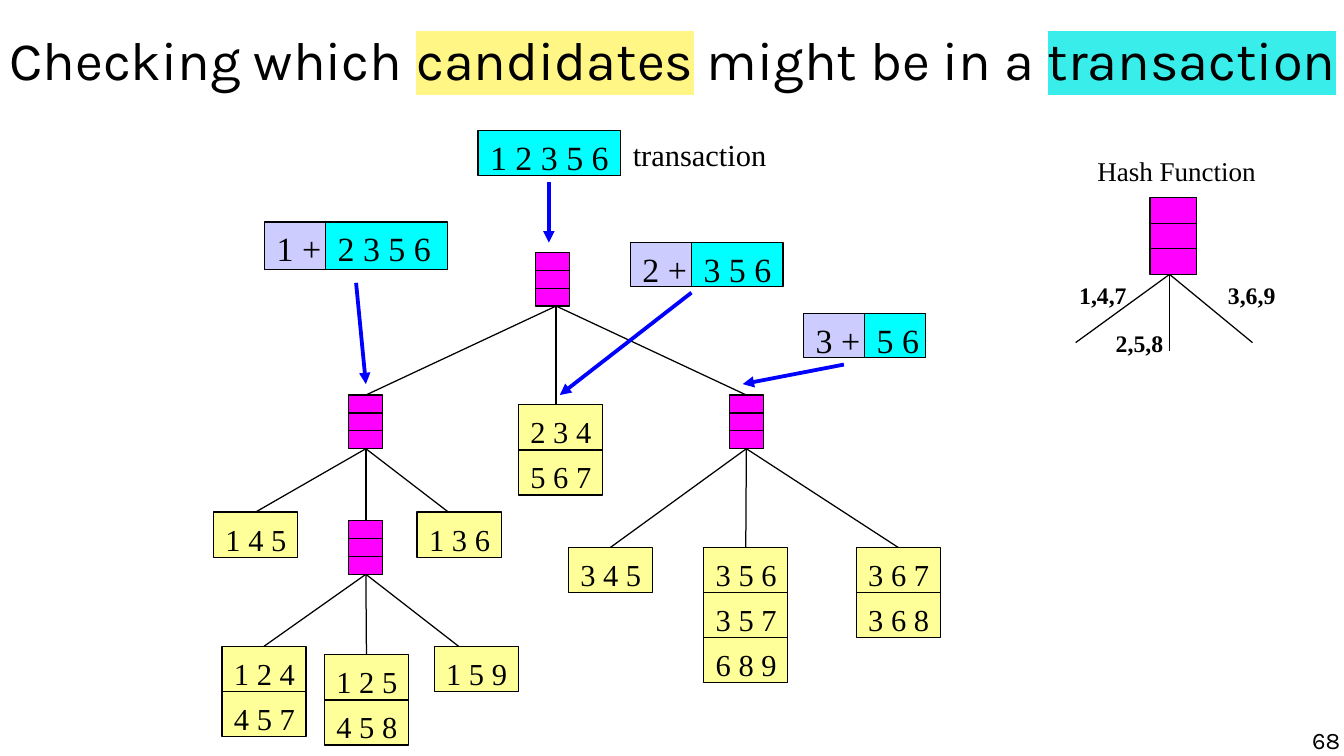
"""Build the slide that walks a transaction through a candidate hash tree."""
from dataclasses import dataclass

from lxml import etree
from pptx import Presentation
from pptx.dml.color import RGBColor
from pptx.enum.shapes import MSO_CONNECTOR, MSO_SHAPE
from pptx.enum.text import MSO_ANCHOR, PP_ALIGN
from pptx.oxml.ns import qn
from pptx.shapes.autoshape import Shape
from pptx.shapes.connector import Connector
from pptx.slide import Slide
from pptx.text.text import TextFrame
from pptx.util import Inches, Pt

STRAIGHT = MSO_CONNECTOR.STRAIGHT
RECTANGLE = MSO_SHAPE.RECTANGLE
TOP, MIDDLE = MSO_ANCHOR.TOP, MSO_ANCHOR.MIDDLE
LEFT, CENTER, RIGHT = PP_ALIGN.LEFT, PP_ALIGN.CENTER, PP_ALIGN.RIGHT
TOP_SITE, BOTTOM_SITE = 0, 2
JOIN_REACH = Inches(0.02)
LEAF_WIDTH, LEAF_HEIGHT = 0.69, 0.37

Point = tuple[float, float]
Area = tuple[float, float, float, float]


@dataclass(frozen=True)
class Theme:
    ink: str = "000000"
    arrow: str = "0000FF"
    node: str = "FF00FF"
    leaf: str = "FFFF99"
    prefix: str = "CCCCFF"
    items: str = "00FFFF"
    candidate_mark: str = "FFF685"
    transaction_mark: str = "39EDEA"
    heading_font: str = "Karla"
    body_font: str = "Times New Roman"
    title_size: int = 32
    items_size: int = 20
    leaf_size: int = 18
    caption_size: int = 16
    small_size: int = 14
    thin: float = 0.75
    thick: float = 2.25


THEME = Theme()


@dataclass(frozen=True)
class Span:
    text: str
    size: int
    font: str = THEME.body_font
    bold: bool = False
    mark: str = ""


@dataclass(frozen=True)
class Fan:
    apex: Point
    ends: tuple[Point, ...]


@dataclass(frozen=True)
class Leaf:
    left: float
    top: float
    itemsets: tuple[str, ...]


@dataclass(frozen=True)
class ItemBox:
    area: Area
    text: str
    fill: str


@dataclass(frozen=True)
class Label:
    area: Area
    span: Span


FANS = (
    Fan((4.56, 2.51), ((3, 3.25), (4.56, 3.32), (6.12, 3.25))),
    Fan((2.99, 3.68), ((2.1, 4.21), (2.99, 4.27), (3.69, 4.21))),
    Fan((6.12, 3.68), ((5.01, 4.49), (6.12, 4.49), (7.37, 4.49))),
    Fan((3, 4.71), ((2.17, 5.3), (3, 5.37), (3.76, 5.3))),
    Fan((9.59, 2.25), ((8.82, 2.81), (9.59, 2.88), (10.27, 2.81))),
)
NODES: tuple[Area, ...] = (
    (4.39, 2.07, 0.28, 0.44),
    (2.86, 3.24, 0.28, 0.44),
    (5.98, 3.24, 0.28, 0.44),
    (2.86, 4.27, 0.28, 0.44),
    (9.43, 1.62, 0.38, 0.63),
)
LEAVES = (
    Leaf(4.25, 3.32, ("2 3 4", "5 6 7")),
    Leaf(1.75, 4.2, ("1 4 5",)),
    Leaf(3.42, 4.2, ("1 3 6",)),
    Leaf(4.66, 4.49, ("3 4 5",)),
    Leaf(5.77, 4.49, ("3 5 6", "3 5 7", "6 8 9")),
    Leaf(7.02, 4.49, ("3 6 7", "3 6 8")),
    Leaf(1.82, 5.3, ("1 2 4", "4 5 7")),
    Leaf(2.66, 5.37, ("1 2 5", "4 5 8")),
    Leaf(3.56, 5.3, ("1 5 9",)),
)
ITEM_BOXES = (
    ItemBox((3.92, 1.07, 1.17, 0.37), "1 2 3 5 6", THEME.items),
    ItemBox((2.17, 1.82, 0.75, 0.39), "1 +", THEME.prefix),
    ItemBox((2.67, 1.82, 1, 0.39), "2 3 5 6", THEME.items),
    ItemBox((5.17, 1.99, 0.5, 0.36), "2 +", THEME.prefix),
    ItemBox((5.67, 1.99, 0.75, 0.36), "3 5 6", THEME.items),
    ItemBox((6.59, 2.57, 0.5, 0.36), "3 +", THEME.prefix),
    ItemBox((7.09, 2.57, 0.5, 0.36), "5 6", THEME.items),
)
ARROWS: tuple[tuple[Point, Point], ...] = (
    ((4.5, 1.49), (4.5, 1.99)),
    ((2.92, 2.32), (3, 3.15)),
    ((5.67, 2.4), (4.59, 3.24)),
    ((6.92, 2.99), (6.09, 3.15)),
)
LABELS = (
    Label((5.09, 1.07, 1.29, 0.4), Span("transaction", THEME.leaf_size)),
    Label((8.9, 1.22, 1.5, 0.37), Span("Hash Function", THEME.caption_size)),
    Label((8.75, 2.25, 0.59, 0.33), Span("1,4,7", THEME.small_size, bold=True)),
    Label((9.05, 2.65, 0.59, 0.33), Span("2,5,8", THEME.small_size, bold=True)),
    Label((9.97, 2.25, 0.59, 0.33), Span("3,6,9", THEME.small_size, bold=True)),
)
TITLE = tuple(Span(text, THEME.title_size, THEME.heading_font, mark=mark) for text, mark in (
    ("Checking which ", ""), ("candidates", THEME.candidate_mark),
    (" might be in a ", ""), ("transaction", THEME.transaction_mark)))
PAGE_NUMBER = Span("68", THEME.small_size, THEME.heading_font)


def write(frame: TextFrame, spans: tuple[Span, ...], insets: Area, align: PP_ALIGN = LEFT,
          anchor: MSO_ANCHOR = TOP, wrap: bool = True) -> None:
    frame.margin_left, frame.margin_top, frame.margin_right, frame.margin_bottom = map(Inches, insets)
    frame.word_wrap, frame.vertical_anchor = wrap, anchor
    para = frame.paragraphs[0]
    para.alignment = align
    for span in spans:
        run = para.add_run()
        run.text = span.text
        run.font.size, run.font.name, run.font.bold = Pt(span.size), span.font, span.bold
        run.font.color.rgb = RGBColor.from_string(THEME.ink)
        if span.mark:
            highlight = etree.Element(qn("a:highlight"))
            etree.SubElement(highlight, qn("a:srgbClr"), val=span.mark)
            run.font._element.find(qn("a:solidFill")).addnext(highlight)


def draw_line(page: Slide, begin: Point, end: Point, color: str = THEME.ink,
              width: float = THEME.thin, arrow: bool = False) -> Connector:
    line = page.shapes.add_connector(STRAIGHT, *map(Inches, begin + end))
    line.line.color.rgb = RGBColor.from_string(color)
    line.line.width = Pt(width)
    if arrow:
        etree.SubElement(line.line._get_or_add_ln(), qn("a:tailEnd"), type="triangle")
    etree.SubElement(line._element.spPr, qn("a:effectLst"))
    return line


def draw_box(page: Slide, area: Area, fill: str) -> Shape:
    box = page.shapes.add_shape(RECTANGLE, *map(Inches, area))
    box.shadow.inherit = False
    box.fill.solid()
    box.fill.fore_color.rgb = RGBColor.from_string(fill)
    box.line.color.rgb = RGBColor.from_string(THEME.ink)
    box.line.width = Pt(THEME.thin)
    return box


def draw_node(page: Slide, area: Area) -> Shape:
    left, top, width, height = area
    node = draw_box(page, area, THEME.node)
    for third in (1, 2):
        level = top + height * third / 3
        draw_line(page, (left, level), (left + width, level))
    return node


def draw_leaf(page: Slide, leaf: Leaf) -> Shape:
    boxes = []
    for row, itemset in enumerate(leaf.itemsets):
        area = (leaf.left, leaf.top + row * LEAF_HEIGHT, LEAF_WIDTH, LEAF_HEIGHT)
        boxes.append(draw_box(page, area, THEME.leaf))
        write(boxes[-1].text_frame, (Span(itemset, THEME.leaf_size),), (0.1, 0.07, 0, 0))
    return boxes[0]


def join(branch: Connector, boxes: list[Shape]) -> None:
    begin, end = (branch.begin_x, branch.begin_y), (branch.end_x, branch.end_y)
    for box in boxes:
        middle = box.left + box.width // 2
        if max(abs(begin[0] - middle), abs(begin[1] - box.top - box.height)) <= JOIN_REACH:
            branch.begin_connect(box, BOTTOM_SITE)
        if max(abs(end[0] - middle), abs(end[1] - box.top)) <= JOIN_REACH:
            branch.end_connect(box, TOP_SITE)


def main() -> None:
    deck = Presentation()
    deck.slide_width, deck.slide_height = Inches(11.02), Inches(6.2)
    page = deck.slides.add_slide(deck.slide_layouts[6])
    title = page.shapes.add_textbox(*map(Inches, (0.05, -0.12, 10.93, 1.21)))
    write(title.text_frame, TITLE, (0, 0, 0, 0), CENTER, MIDDLE, wrap=False)
    branches = [draw_line(page, fan.apex, end) for fan in FANS for end in fan.ends]
    boxes = [draw_node(page, area) for area in NODES] + [draw_leaf(page, leaf) for leaf in LEAVES]
    for branch in branches:
        join(branch, boxes)
    for item in ITEM_BOXES:
        box = draw_box(page, item.area, item.fill)
        write(box.text_frame, (Span(item.text, THEME.items_size),), (0.1, 0.05, 0, 0))
    for begin, end in ARROWS:
        draw_line(page, begin, end, THEME.arrow, THEME.thick, arrow=True)
    for label in LABELS:
        box = page.shapes.add_textbox(*map(Inches, label.area))
        write(box.text_frame, (label.span,), (0.1, 0.05, 0, 0.05))
    number = page.shapes.add_textbox(*map(Inches, (8.42, 5.95, 2.57, 0.25)))
    write(number.text_frame, (PAGE_NUMBER,), (0, 0, 0, 0), RIGHT)
    deck.save("out.pptx")


if __name__ == "__main__":
    main()
